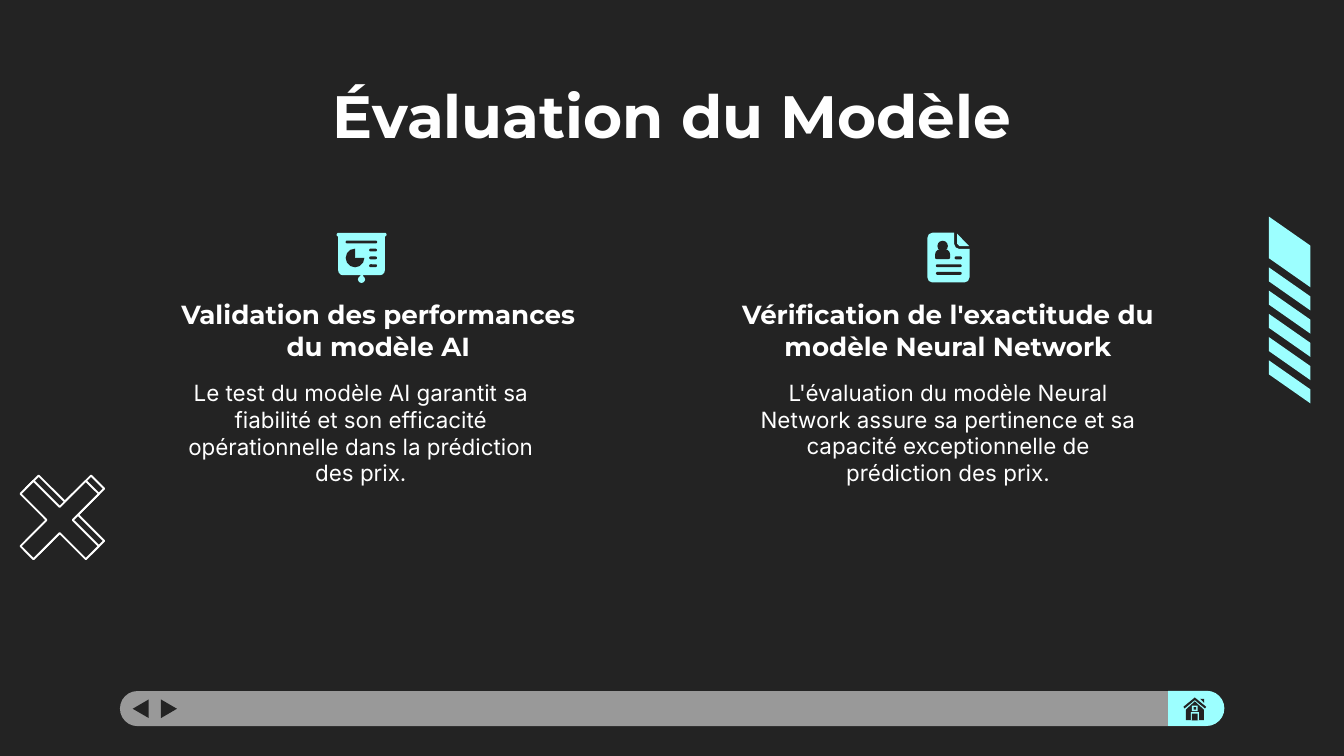
from dataclasses import dataclass

from pptx import Presentation
from pptx.dml.color import RGBColor
from pptx.enum.shapes import MSO_SHAPE
from pptx.enum.text import MSO_ANCHOR, PP_ALIGN
from pptx.util import Pt


@dataclass(frozen=True)
class Theme:
    dark: str = "232323"
    white: str = "FFFFFF"
    gray: str = "999999"
    cyan: str = "9CFFFF"
    title: tuple = ("Montserrat", 32, True)
    head: tuple = ("Montserrat", 14, True)
    body: tuple = ("Inter", 12, False)


class Page:
    def __init__(self, slide, theme):
        self.slide = slide
        self.theme = theme
        fill = slide.background.fill
        fill.solid()
        fill.fore_color.rgb = RGBColor.from_string(theme.dark)

    def paint(self, shape, color, line=None):
        shape.shadow.inherit = False
        shape.fill.solid()
        shape.fill.fore_color.rgb = RGBColor.from_string(color)
        if line:
            shape.line.color.rgb = RGBColor.from_string(line)
            shape.line.width = Pt(1)
        else:
            shape.line.fill.background()

    def shape(self, kind, box, color, turn=0, adjust=()):
        item = self.slide.shapes.add_shape(kind, *map(Pt, box))
        item.rotation = turn
        for i, value in enumerate(adjust):
            item.adjustments[i] = value
        self.paint(item, color)

    def pill(self, box, color):
        self.shape(MSO_SHAPE.ROUNDED_RECTANGLE, box, color, adjust=[0.5])

    def outline(self, points, color, line=None):
        """Draw a closed polygon through the points."""
        first, *rest = [(Pt(x), Pt(y)) for x, y in points]
        form = self.slide.shapes.build_freeform(*first)
        form.add_line_segments(rest, close=True)
        self.paint(form.convert_to_shape(), color, line)

    def text(self, words, box, style, anchor=MSO_ANCHOR.TOP):
        frame = self.slide.shapes.add_textbox(*map(Pt, box)).text_frame
        setup = {"word_wrap": True, "vertical_anchor": anchor}
        setup.update({f"margin_{side}": Pt(7.2)
                      for side in ("left", "right", "top", "bottom")})
        for name, value in setup.items():
            setattr(frame, name, value)
        para = frame.paragraphs[0]
        para.alignment = PP_ALIGN.CENTER
        run = para.add_run()
        run.text = words
        face, size, bold = style
        for name, value in {"name": face, "size": Pt(size), "bold": bold}.items():
            setattr(run.font, name, value)
        run.font.color.rgb = RGBColor.from_string(self.theme.white)


def draw_bar(page):
    """Draw the navigation bar with its arrows and home tab."""
    dark, cyan = page.theme.dark, page.theme.cyan
    page.pill((64.3, 370.2, 591.2, 18.8), page.theme.gray)
    page.shape(MSO_SHAPE.ROUND_2_SAME_RECTANGLE, (631.4, 364.4, 18.8, 30.2),
               cyan, 90, [0.5, 0])
    for x, turn in ((70.4, 270), (85.5, 90)):
        page.shape(MSO_SHAPE.ISOSCELES_TRIANGLE, (x, 375.4, 10, 8.6), dark, turn)

    page.outline([(643, 374.4), (645.1, 374.4), (645.1, 376.6)], dark)
    page.outline([(640.1, 373.7), (646.2, 378.7), (645.6, 379.6),
                  (640.1, 375.1), (634.6, 379.6), (634, 378.7)], dark)
    page.outline([(640.1, 375.8), (644.9, 380.2), (644.9, 385.9),
                  (635.3, 385.9), (635.3, 380.2)], dark)
    for box, color in (((638.6, 378, 3, 3), cyan),
                       ((639.4, 378.8, 1.4, 1.4), dark),
                       ((637.9, 381.6, 4.4, 4.3), cyan),
                       ((638.6, 382.3, 3, 3.6), dark)):
        page.shape(MSO_SHAPE.RECTANGLE, box, color)


def draw_cross(page, x, y):
    arm = [(-14, -21), (-21, -14), (-7, 0)]
    left = arm + [(a, -b) for a, b in arm[1::-1]] + [(0, 7)]
    right = [(-a, -b) for a, b in left]
    page.outline([(x + a, y + b) for a, b in left + right],
                 page.theme.dark, page.theme.white)


def draw_stripes(page):
    left, right, slant = 679.7, 702, 15.6
    bands = [(116, 22.3)] + [(143.2 + 12.45 * i, 7.5) for i in range(5)]
    for top, high in bands:
        page.outline([(left, top), (left, top + high),
                      (right, top + high + slant), (right, top + slant)],
                     page.theme.cyan)


def draw_chart(page):
    """Draw the icon of a chart on a hanging screen."""
    dark, cyan = page.theme.dark, page.theme.cyan
    page.shape(MSO_SHAPE.ROUND_2_SAME_RECTANGLE, (181.2, 125.5, 25, 22),
               cyan, adjust=[0, 0.12])
    page.pill((180.3, 124.7, 26.8, 2), cyan)
    page.shape(MSO_SHAPE.RECTANGLE, (193, 147, 1.5, 2), cyan)
    page.shape(MSO_SHAPE.OVAL, (191.8, 147.8, 3.8, 3.8), cyan)
    page.pill((185.2, 128.9, 16.9, 1.5), dark)
    page.shape(MSO_SHAPE.PIE, (185.2, 133.2, 10, 10), dark)
    for i in range(3):
        page.pill((197.8, 133.2 + 4.2 * i, 4.2, 1.5), dark)


def draw_file(page):
    """Draw the icon of a profile sheet with a folded corner."""
    dark, cyan = page.theme.dark, page.theme.cyan
    page.outline([(499.5, 124.7), (511.2, 124.7), (511.2, 130.8),
                  (512, 132.6), (513.8, 133.4), (519.4, 133.4),
                  (519.4, 148.6), (518.6, 150.6), (516.6, 151.4),
                  (499.5, 151.4), (497.6, 150.6), (496.8, 148.6),
                  (496.8, 127.5), (497.6, 125.5)], cyan)
    page.outline([(512.7, 125.2), (512.7, 130.5), (514, 131.8),
                  (519.2, 131.8)], cyan)
    page.shape(MSO_SHAPE.OVAL, (502.2, 129, 5.6, 5.6), dark)
    page.shape(MSO_SHAPE.ROUND_2_SAME_RECTANGLE, (501, 133.6, 8, 5.2),
               dark, adjust=[0.5, 0.15])
    for x, y, wide in ((511.4, 137.4, 4), (501.4, 141.6, 13.8),
                       (501.4, 145.7, 13.8)):
        page.pill((x, y, wide, 1.5), dark)


def main():
    deck = Presentation()
    deck.slide_width, deck.slide_height = Pt(720), Pt(405)
    theme = Theme()
    page = Page(deck.slides.add_slide(deck.slide_layouts[6]), theme)

    draw_bar(page)
    for x, y in ((34.8, 275.8), (32, 278.6)):
        draw_cross(page, x, y)
    draw_stripes(page)

    page.text("Évaluation du Modèle", (56.7, 35.3, 607, 45.4), theme.title)
    columns = (
        ("Validation des performances du modèle AI", (85.7, 155.5, 234, 45.4),
         "Le test du modèle AI garantit sa fiabilité et son efficacité "
         "opérationnelle dans la prédiction des prix.",
         (85.7, 195.8, 215.3, 131)),
        ("Vérification de l'exactitude du modèle Neural Network",
         (382.3, 155.5, 251.3, 45.4),
         "L'évaluation du modèle Neural Network assure sa pertinence et sa "
         "capacité exceptionnelle de prédiction des prix.",
         (399.6, 195.8, 216.7, 52.6)),
    )
    for head, top, body, base in columns:
        page.text(head, top, theme.head, MSO_ANCHOR.BOTTOM)
        page.text(body, base, theme.body)
    draw_chart(page)
    draw_file(page)
    deck.save("out.pptx")


if __name__ == "__main__":
    main()
